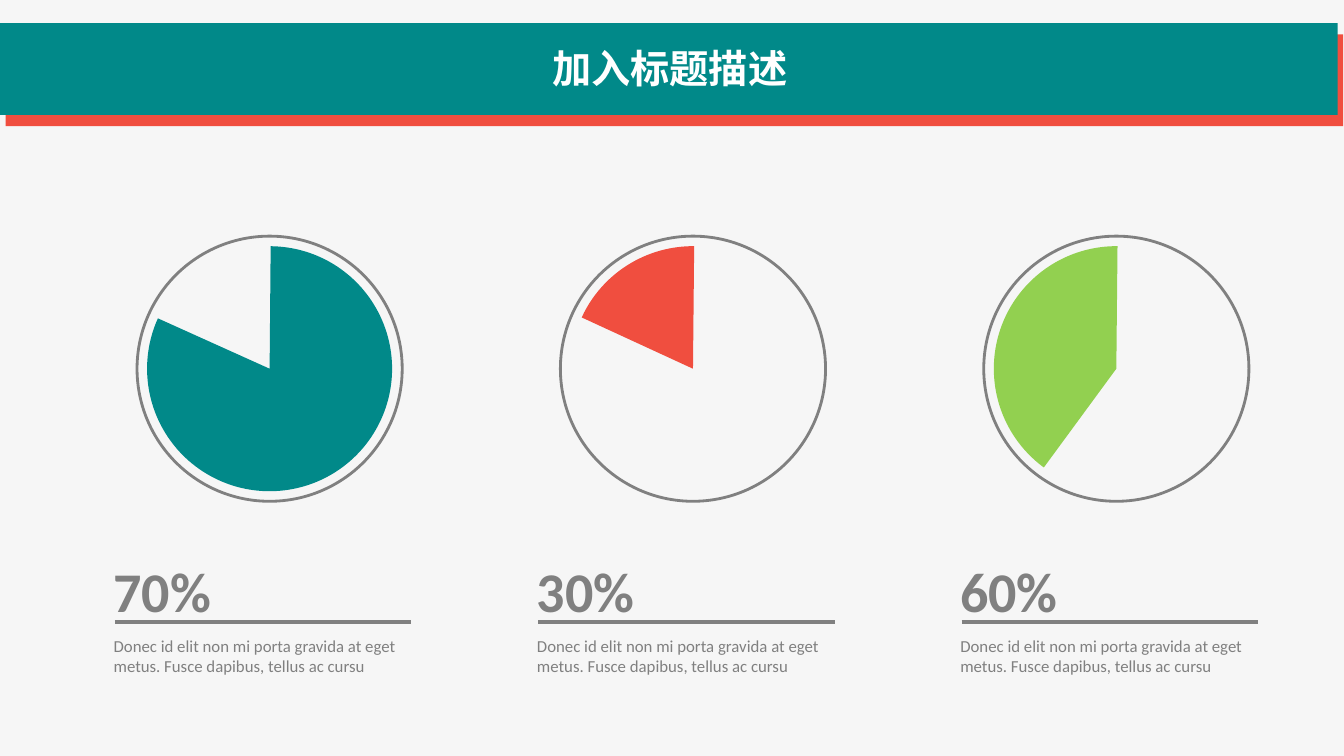
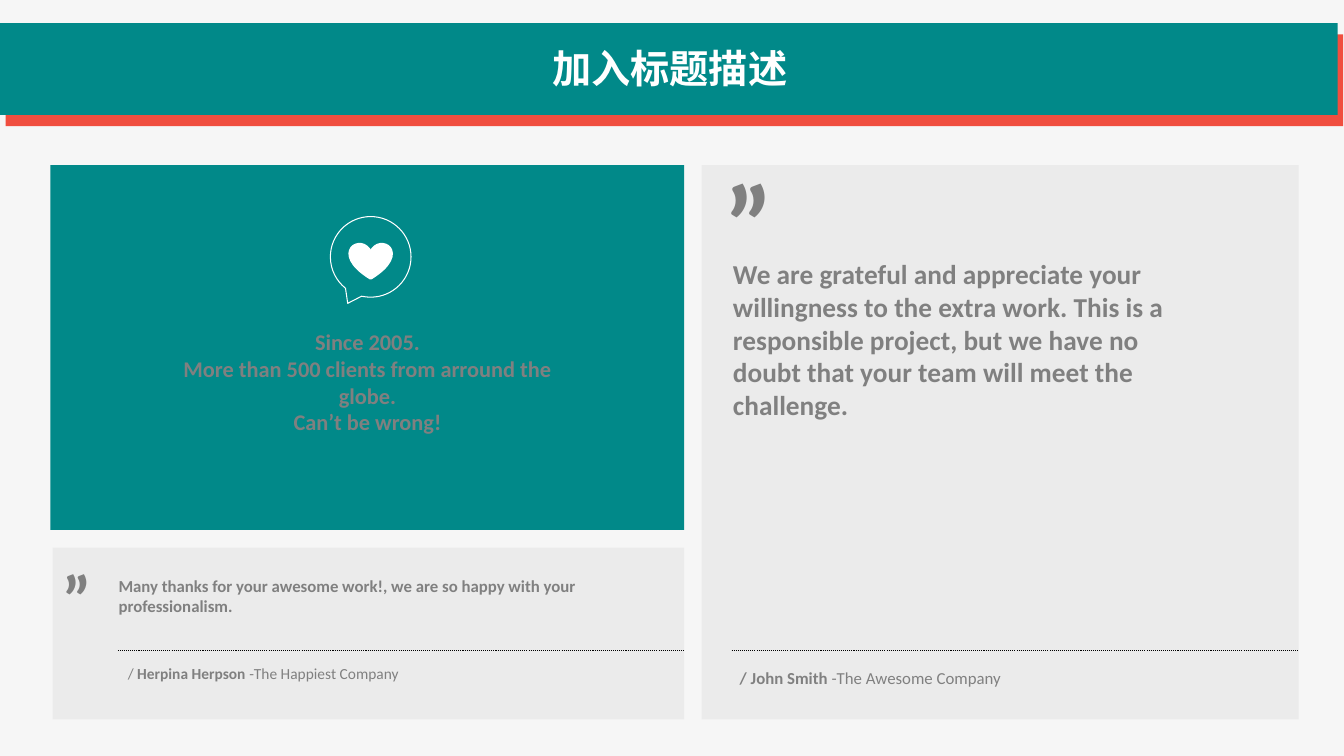
from dataclasses import dataclass

from lxml.etree import SubElement
from pptx import Presentation
from pptx.dml.color import RGBColor
from pptx.enum.dml import MSO_LINE
from pptx.enum.shapes import MSO_CONNECTOR, MSO_SHAPE
from pptx.enum.text import MSO_ANCHOR, MSO_AUTO_SIZE, PP_ALIGN
from pptx.oxml.ns import qn
from pptx.util import Pt


@dataclass(frozen=True)
class Theme:
    paper: str = "F6F6F6"
    panel: str = "EBEBEB"
    teal: str = "018989"
    red: str = "F04E3F"
    green: str = "92D050"
    gray: str = "808080"
    white: str = "FFFFFF"
    black: str = "000000"
    body_font: str = "Calibri"
    title_font: str = "Noto Sans CJK SC"
    title_size: float = 28
    figure_size: float = 40
    quote_size: float = 19.5
    claim_size: float = 16
    body_size: float = 12
    small_size: float = 11
    mark_size: float = 80
    small_mark_size: float = 48


THEME = Theme()
SLIDE_WIDTH, SLIDE_HEIGHT = 960, 540
TITLE = "加入标题描述"
BLURB = "Donec id elit non mi porta gravida at eget metus. Fusce dapibus, tellus ac cursu"

BAND_WIDTH, BAND_HEIGHT = 955.5, 65.5
BANDS = ((4, 24.6, THEME.red), (0, 16.5, THEME.teal))
TITLE_AREA = (-54, 28.8, 1064.9, 46.1)

COLUMN_LEFT, COLUMN_PITCH = 74.1, 302.4
DISC_OFFSET, DISC_MIDDLE = 118.5, 263.4
PIE_SIZE, RING_SIZE = 175, 189.4
RULE_INSET, RULE_LENGTH, RULE_TOP = 8, 211.6, 444.2

RIGHT_LEFT, RIGHT_EDGE = 501.1, 927.6
LEFT_EDGE = 488.8
PANEL_TOP, PANEL_BOTTOM = 118, 513.9
DOTTED_TOP = 464.8


def rgb(color):
    return RGBColor.from_string(color)


def points(values):
    return [Pt(value) for value in values]


def paint(shape, fill=None, line=None, line_width=1):
    shape.shadow.inherit = False
    if fill:
        shape.fill.solid()
        shape.fill.fore_color.rgb = rgb(fill)
    else:
        shape.fill.background()
    if line:
        shape.line.color.rgb = rgb(line)
        shape.line.width = Pt(line_width)
    else:
        shape.line.fill.background()


def add_figure(slide, kind, area, **style):
    shape = slide.shapes.add_shape(kind, *points(area))
    paint(shape, **style)
    return shape


def add_disc(slide, kind, center, size, **style):
    x, y = center
    return add_figure(slide, kind, (x - size / 2, y - size / 2, size, size), **style)


def add_rule(slide, left, right, top, color, width, dash=None):
    rule = slide.shapes.add_connector(
        MSO_CONNECTOR.STRAIGHT, *points((left, top, right, top))
    )
    rule.line.color.rgb = rgb(color)
    rule.line.width = Pt(width)
    if dash:
        rule.line.dash_style = dash
    SubElement(rule._element.spPr, qn("a:effectLst"))


def style_font(font, size, bold, color=THEME.gray, name=THEME.body_font):
    font.size = Pt(size)
    font.bold = bold
    font.color.rgb = rgb(color)
    font.name = name


def add_box(slide, area):
    box = slide.shapes.add_textbox(*points(area))
    box.text_frame.word_wrap = True
    return box


def add_text(slide, area, text, size, bold=False, align=PP_ALIGN.LEFT):
    box = add_box(slide, area)
    box.text_frame.text = text
    for para in box.text_frame.paragraphs:
        para.alignment = align
        for span in para.runs:
            style_font(span.font, size, bold)


def add_attribution(slide, area, spans, size):
    para = add_box(slide, area).text_frame.paragraphs[0]
    for text, bold in spans:
        span = para.add_run()
        span.text = text
        style_font(span.font, size, bold)


def add_title_band(slide):
    for left, top, color in BANDS:
        add_figure(slide, MSO_SHAPE.RECTANGLE,
                   (left, top, BAND_WIDTH, BAND_HEIGHT), fill=color)

    title = slide.shapes.title
    title.left, title.top, title.width, title.height = points(TITLE_AREA)
    frame = title.text_frame
    frame.text = TITLE
    frame.auto_size = MSO_AUTO_SIZE.NONE
    frame.vertical_anchor = MSO_ANCHOR.TOP
    frame.margin_left = frame.margin_right = Pt(5)
    frame.margin_top = frame.margin_bottom = Pt(2.8)
    para = frame.paragraphs[0]
    para.alignment = PP_ALIGN.CENTER
    span = para.runs[0]
    style_font(span.font, THEME.title_size, True, THEME.white, THEME.title_font)
    SubElement(span._r.get_or_add_rPr(), qn("a:ea"), typeface=THEME.title_font)
    slide.shapes._spTree.append(title._element)


def add_titled_slide(deck):
    slide = deck.slides.add_slide(deck.slide_layouts[5])
    add_title_band(slide)
    return slide


def add_share_column(slide, left, label, color, start, end):
    center = (left + DISC_OFFSET, DISC_MIDDLE)
    add_text(slide, (left, 450.4, 232, 36), BLURB, THEME.body_size)
    add_text(slide, (left, 393.7, 108, 55.4), label, THEME.figure_size, bold=True)
    rule_left = left + RULE_INSET
    add_rule(slide, rule_left, rule_left + RULE_LENGTH, RULE_TOP, THEME.gray, 3)
    pie = add_disc(slide, MSO_SHAPE.PIE, center, PIE_SIZE, fill=color)
    for index, angle in enumerate((start, end)):
        pie.adjustments[index] = angle * 0.6
    add_disc(slide, MSO_SHAPE.OVAL, center, RING_SIZE, line=THEME.gray, line_width=2)


def add_curved_outline(slide, start, segments, **style):
    builder = slide.shapes.build_freeform(*points(start))
    builder.add_line_segments(
        [points(point) for segment in segments for point in segment], close=True
    )
    shape = builder.convert_to_shape()
    outline = next(shape._element.iter(qn("a:path")))
    steps = iter(outline.findall(qn("a:lnTo")))
    for segment in segments:
        group = [next(steps) for _ in segment]
        if len(group) == 3:
            curve = SubElement(outline, qn("a:cubicBezTo"))
            group[0].addprevious(curve)
            for step in group:
                curve.append(step[0])
                outline.remove(step)
    paint(shape, **style)


def add_speech_bubble(slide):
    segments = (
        ((280.7, 154.7), (293.6, 167.6), (293.6, 183.5)),
        ((293.6, 199.4), (280.7, 212.3), (264.8, 212.3)),
        ((262.6, 212.3), (260.4, 212.1), (258.3, 211.6)),
        ((248.4, 216.7),),
        ((246.8, 205.9),),
        ((240.2, 200.6), (236, 192.6), (236, 183.5)),
        ((236, 167.6), (248.9, 154.7), (264.8, 154.7)),
    )
    add_curved_outline(slide, (264.8, 154.7), segments,
                       line=THEME.white, line_width=0.75)


def add_panel(slide, left, top, right, bottom, color):
    add_figure(slide, MSO_SHAPE.RECTANGLE,
               (left, top, right - left, bottom - top), fill=color)


def build_shares(deck):
    slide = add_titled_slide(deck)
    shares = (
        ("70%", THEME.teal, 270.5, 204.27),
        ("30%", THEME.red, 204.73, 270.56),
        ("60%", THEME.green, 126.28, 270.56),
    )
    for index, share in enumerate(shares):
        add_share_column(slide, COLUMN_LEFT + index * COLUMN_PITCH, *share)


def build_testimonials(deck):
    slide = add_titled_slide(deck)
    add_panel(slide, RIGHT_LEFT, PANEL_TOP, RIGHT_EDGE, PANEL_BOTTOM, THEME.panel)
    add_panel(slide, 37.6, 391.2, LEFT_EDGE, PANEL_BOTTOM, THEME.panel)
    add_panel(slide, 36, PANEL_TOP, LEFT_EDGE, 378.6, THEME.teal)

    add_figure(slide, MSO_SHAPE.HEART, (250, 174.2, 29.6, 24.6),
               fill=THEME.white, line=THEME.white, line_width=2)
    add_speech_bubble(slide)
    add_text(slide, (103, 230.7, 319, 65.5),
             "Since 2005.\nMore than 500 clients from arround the globe.\nCan’t be wrong!",
             THEME.claim_size, bold=True, align=PP_ALIGN.CENTER)

    add_text(slide, (516.5, 180.2, 352.8, 125.3),
             "We are grateful and appreciate your willingness to the extra work. "
             "This is a responsible project, but we have no doubt that your team "
             "will meet the challenge.",
             THEME.quote_size, bold=True)
    add_text(slide, (510.5, 105.8, 90, 104.4), "”", THEME.mark_size, bold=True)
    add_text(slide, (77.6, 407.9, 391, 36),
             "Many thanks for your awesome work!, we are so happy with your professionalism.",
             THEME.body_size, bold=True)
    add_text(slide, (37.4, 393.8, 90, 65.5), "”", THEME.small_mark_size, bold=True)

    add_attribution(slide, (84.2, 470.9, 372, 21),
                    (("/ ", False), ("Herpina Herpson ", True),
                     ("-The Happiest Company", False)),
                    THEME.small_size)
    add_attribution(slide, (521.3, 473.4, 372, 22),
                    (("/ John Smith ", True), ("-The Awesome Company", False)),
                    THEME.body_size)
    for left, right in ((84.2, LEFT_EDGE), (522.7, RIGHT_EDGE)):
        add_rule(slide, left, right, DOTTED_TOP, THEME.black, 0.75, MSO_LINE.ROUND_DOT)


def main():
    deck = Presentation()
    deck.slide_width, deck.slide_height = Pt(SLIDE_WIDTH), Pt(SLIDE_HEIGHT)
    background = deck.slide_master.background.fill
    background.solid()
    background.fore_color.rgb = rgb(THEME.paper)
    build_shares(deck)
    build_testimonials(deck)
    deck.save("out.pptx")


if __name__ == "__main__":
    main()
